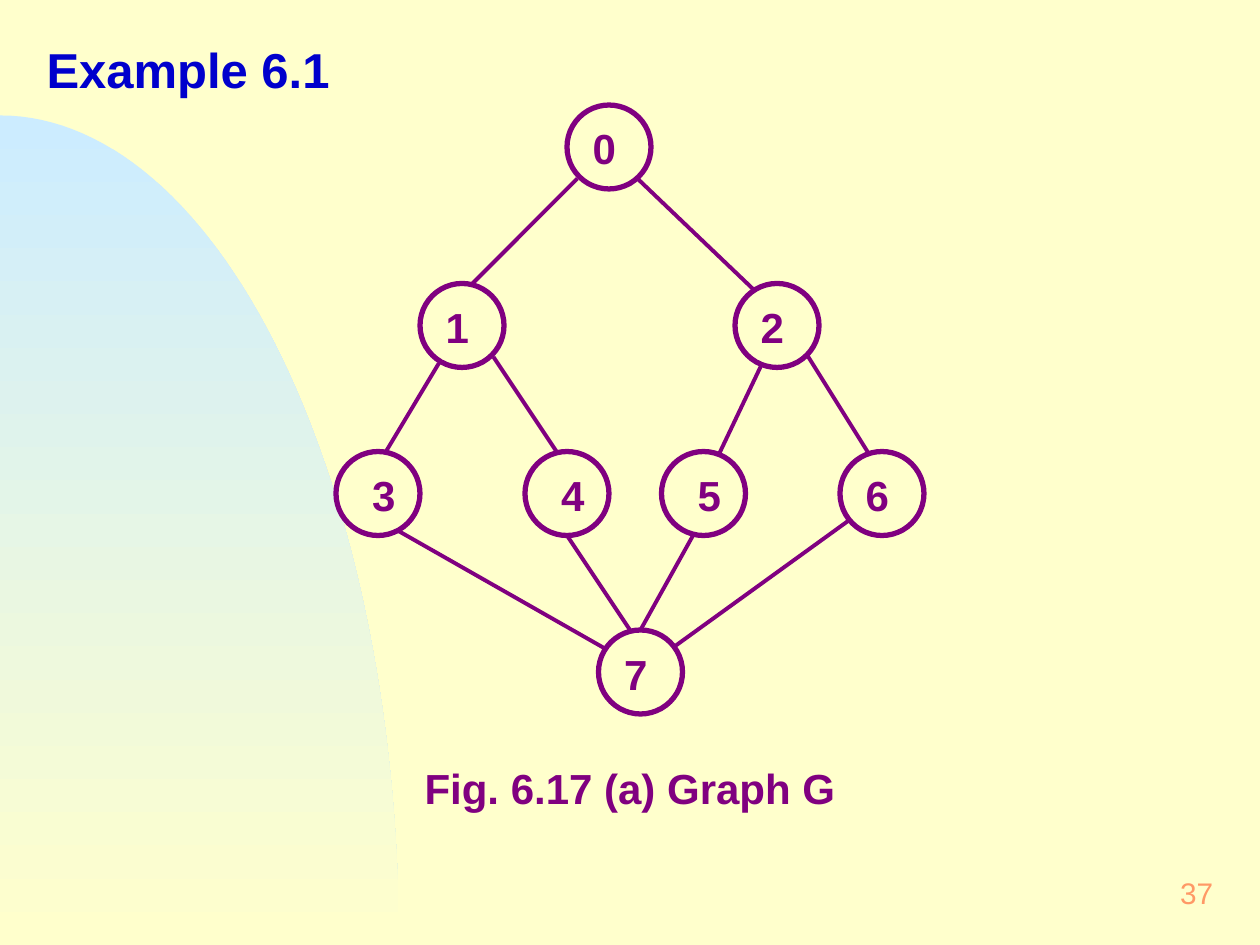
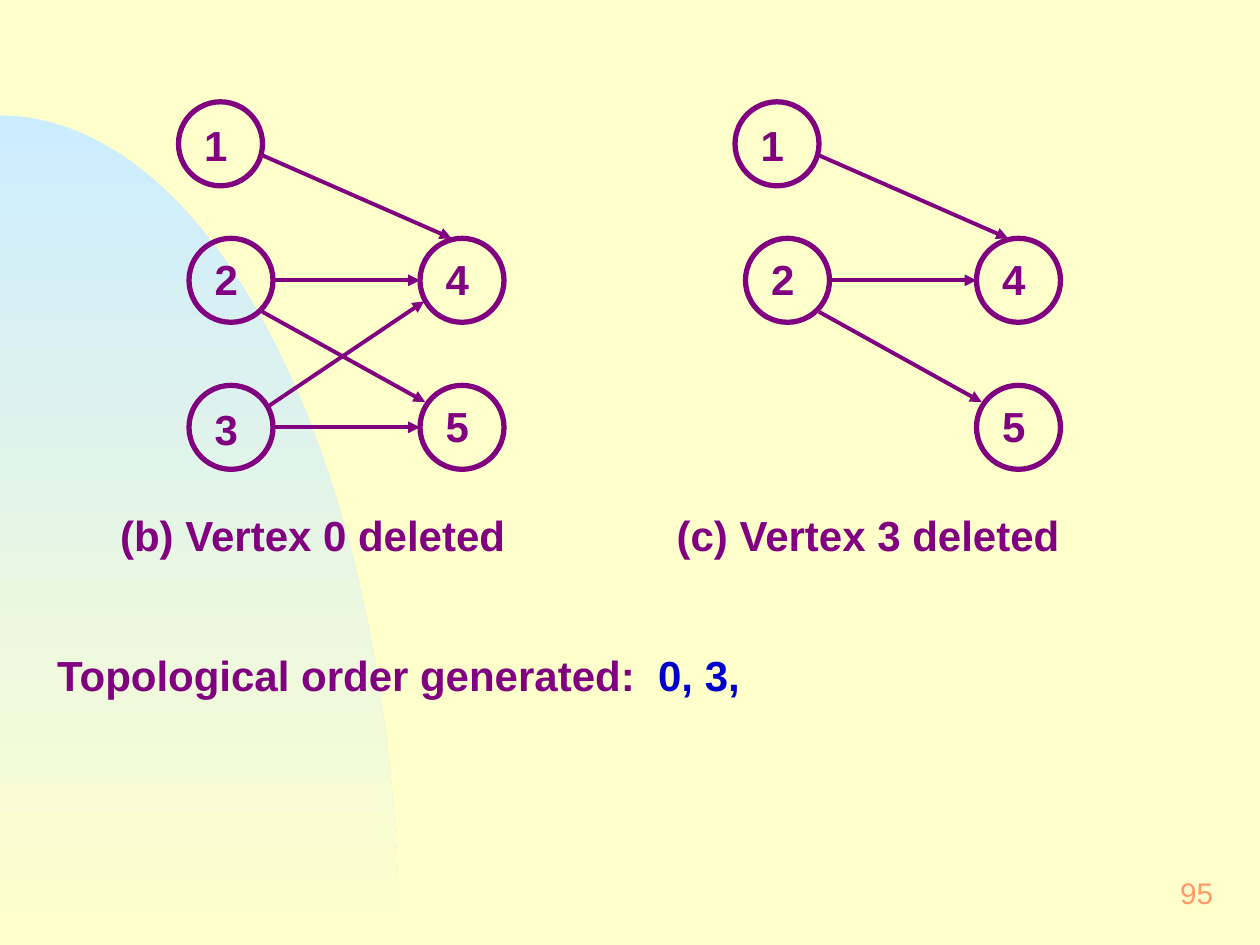
from dataclasses import dataclass
from math import cos, pi, sin

from lxml.etree import SubElement as Sub
from pptx import Presentation
from pptx.dml.color import RGBColor as Rgb
from pptx.enum.shapes import MSO_CONNECTOR as Link, MSO_SHAPE as Kind
from pptx.enum.text import MSO_ANCHOR as Anchor, MSO_AUTO_SIZE as Fit, PP_ALIGN as Align
from pptx.oxml.ns import qn
from pptx.util import Inches, Pt


@dataclass(frozen=True)
class Theme:
    font: str = "Arial"
    paper: str = "FFFFCC"
    sky: str = "CCECFF"
    ink: str = "800080"
    blue: str = "0000CC"
    coral: str = "FF9966"
    head: int = 28
    body: int = 24
    foot: int = 17
    ring: float = 3
    edge: float = 2.25


T = Theme()
WIDE, HIGH = Inches(10), Inches(7.5)
COLS = 120
UNIT = WIDE / COLS
NODE = 8

TREE = {
    "nodes": {
        "0": (54, 10, 1, 1),
        "1": (40, 27, 1, 1),
        "2": (70, 27, 1, 1),
        "3": (32, 43, 2, 1),
        "4": (50, 43, 2, 1),
        "5": (63, 43, 2, 1),
        "6": (80, 43, 1, 1),
        "7": (57, 60, 1, 1),
    },
    "edges": [
        ("0", (1, 7), "1", (5, 0)),
        ("0", (6.7, 7), "2", (1.8, 0.6)),
        ("1", (1.8, 7.6), "3", (4.7, 0.1)),
        ("1", (7, 7), "4", (3, 0)),
        ("2", (2.5, 7.8), "5", (5.5, 0.2)),
        ("2", (6.8, 6.7), "6", (2.8, 0.3)),
        ("3", (6, 7.6), "7", (0.5, 1.7)),
        ("4", (4, 8), "7", (3, 0)),
        ("5", (3, 8), "7", (4, 0)),
        ("6", (0.8, 6.6), "7", (7.2, 1.6)),
    ],
    "note": ("Fig. 6.17 (a) Graph G", (39, 71.9, 47, 6.2)),
}

ROWS = (9.7, 22.7, 36.7)
SPOTS = {
    "1": (17, ROWS[0], 1, 1),
    "2": (18, ROWS[1], 1, 0.7),
    "3": (18, ROWS[2], 1, 1),
    "4": (40, ROWS[1], 1, 0.7),
    "5": (40, ROWS[2], 1, 0.7),
}
FLOW = [
    ("1", (8, 5.1), "4", (3, 0)),
    ("2", (8, 4), "4", (0, 4)),
    ("2", (7, 7), "5", (0.5, 1.6)),
    ("3", (7.4, 2.1), "4", (0.4, 6)),
    ("3", (8, 4), "5", (0, 4)),
]
STEPS = [("(b) Vertex 0 deleted", "12345"), ("(c) Vertex 3 deleted", "1245")]
STEP = 53
ORDER = [("Topological order generated:", T.ink), ("\t0, 3,", T.blue)]
ORDER_TAB = 4.77


def grid(*cells):
    return [round(cell * UNIT) for cell in cells]


def write(shape, runs, size, bold=True, align=Align.LEFT, anchor=Anchor.TOP, tab=None):
    frame = shape.text_frame
    frame.word_wrap = True
    frame.auto_size = Fit.NONE
    frame.vertical_anchor = anchor
    frame.margin_left = frame.margin_right = Inches(0.12)
    frame.margin_top = frame.margin_bottom = Inches(0.06)
    para = frame.paragraphs[0]
    para.alignment = align
    if tab:
        stops = Sub(para._p.get_or_add_pPr(), qn("a:tabLst"))
        Sub(stops, qn("a:tab"), pos=str(Inches(tab)), algn="l")
    for text, tone in runs:
        run = para.add_run()
        run.text = text
        font = run.font
        font.name, font.size, font.bold = T.font, Pt(size), bold
        font.color.rgb = Rgb.from_string(tone)


def label(slide, box, runs, size=T.body, **opts):
    write(slide.shapes.add_textbox(*grid(*box)), runs, size, **opts)


def ring(slide, x, y):
    oval = slide.shapes.add_shape(Kind.OVAL, *grid(x, y, NODE, NODE))
    oval.shadow.inherit = False
    oval.fill.background()
    oval.line.color.rgb = Rgb.from_string(T.ink)
    oval.line.width = Pt(T.ring)


def edge(slide, start, end, arrow):
    line = slide.shapes.add_connector(Link.STRAIGHT, *grid(*start, *end))
    line.line.color.rgb = Rgb.from_string(T.ink)
    line.line.width = Pt(T.edge)
    if arrow:
        Sub(line.line._get_or_add_ln(), qn("a:tailEnd"), type="triangle")
    Sub(line._element.spPr, qn("a:effectLst"))


def graph(slide, nodes, edges, note, shift=0, arrow=False):
    for name, (x, y, dx, dy) in nodes.items():
        ring(slide, x + shift, y)
        label(slide, (x + shift + dx, y + dy, 6, 6.2), [(name, T.ink)])
    for tail, (ax, ay), head, (bx, by) in edges:
        x1, y1 = nodes[tail][:2]
        x2, y2 = nodes[head][:2]
        edge(slide, (x1 + shift + ax, y1 + ay), (x2 + shift + bx, y2 + by), arrow)
    text, (x, y, wide, high) = note
    label(slide, (x + shift, y, wide, high), [(text, T.ink)])


def dress(master, slide):
    fill = master.background.fill
    fill.solid()
    fill.fore_color.rgb = Rgb.from_string(T.paper)
    top, reach, base, parts = 11, 38, 90, 60
    turns = [i * pi / 2 / parts for i in range(parts + 1)]
    arc = [grid(reach * sin(t), base - (base - top) * cos(t)) for t in turns]
    pen = slide.shapes.build_freeform(*arc[0])
    pen.add_line_segments(arc[1:] + [grid(0, base)], close=True)
    hill = pen.convert_to_shape()
    hill.shadow.inherit = False
    hill.line.fill.background()
    hill.fill.gradient()
    hill.fill.gradient_angle = 270
    for stop, tone in zip(hill.fill.gradient_stops, (T.sky, T.paper)):
        stop.color.rgb = Rgb.from_string(tone)
    master.shapes.element.insert(2, hill._element)


def number(slide, text):
    label(slide, (92, 82, 25, 6), [(text, T.coral)], T.foot,
          bold=False, align=Align.RIGHT, anchor=Anchor.MIDDLE)


def main():
    deck = Presentation()
    deck.slide_width, deck.slide_height = WIDE, HIGH

    first = deck.slides.add_slide(deck.slide_layouts[5])
    dress(deck.slide_master, first)
    title = first.shapes.title
    title.left, title.top, title.width, title.height = grid(3, 3, 31, 7)
    write(title, [("Example 6.1", T.blue)], T.head)
    graph(first, **TREE)
    number(first, "37")

    second = deck.slides.add_slide(deck.slide_layouts[6])
    for i, (text, keep) in enumerate(STEPS):
        nodes = {name: SPOTS[name] for name in keep}
        edges = [e for e in FLOW if e[0] in keep and e[2] in keep]
        graph(second, nodes, edges, (text, (10, 47.8, 42, 6.2)), i * STEP, True)
    label(second, (4, 61.1, 110, 6.2), ORDER, tab=ORDER_TAB)
    number(second, "95")

    deck.save("out.pptx")


if __name__ == "__main__":
    main()
